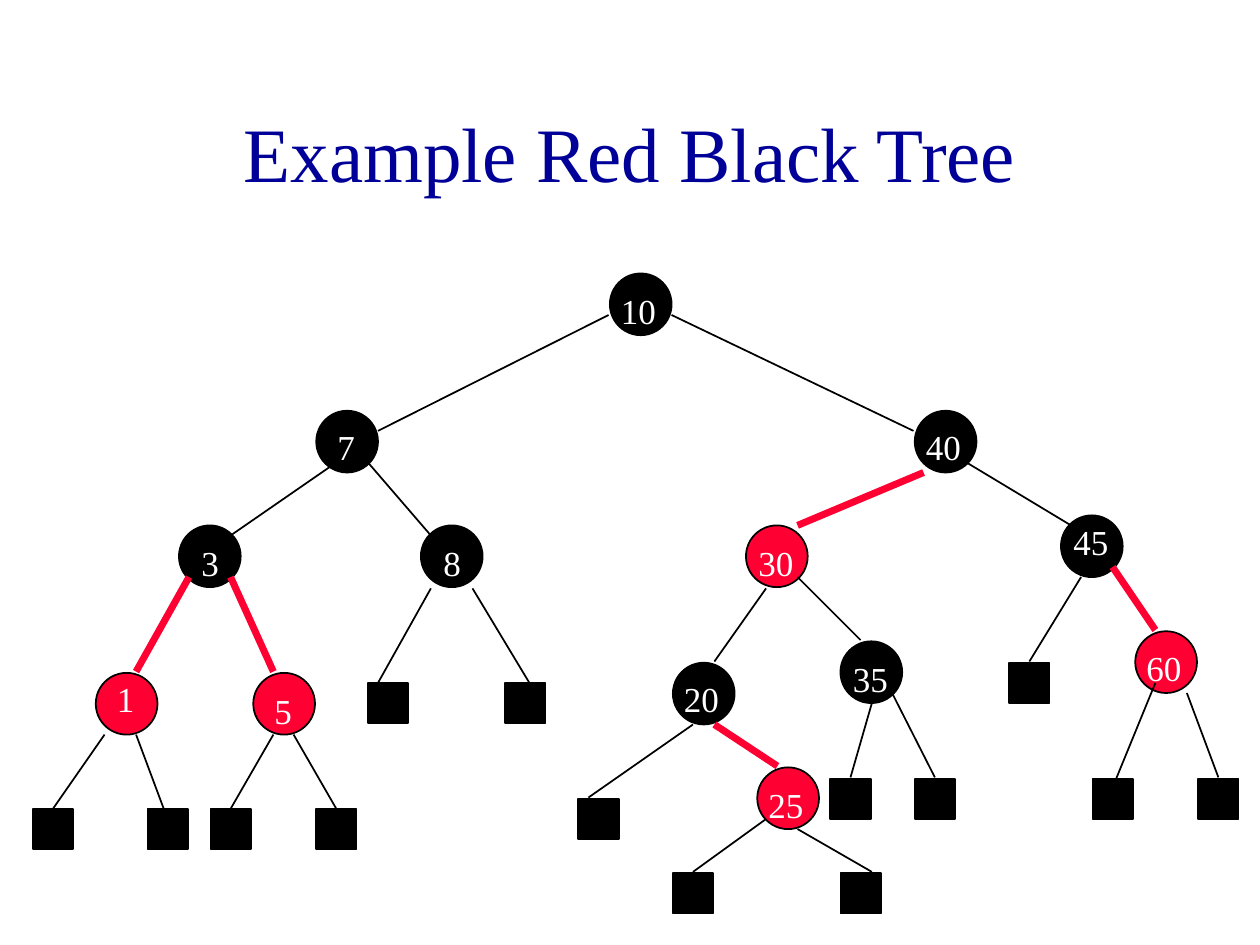
from pptx import Presentation
from pptx.dml.color import RGBColor
from pptx.enum.shapes import MSO_CONNECTOR, MSO_SHAPE
from pptx.enum.text import MSO_ANCHOR, PP_ALIGN
from pptx.oxml.ns import qn
from pptx.util import Inches, Pt
from lxml import etree

BLACK = RGBColor(0x00, 0x00, 0x00)
RED = RGBColor(0xFF, 0x00, 0x33)
WHITE = RGBColor(0xFF, 0xFF, 0xFF)
NAVY = RGBColor(0x00, 0x00, 0x99)

NODES = [
    ("10", BLACK, (4.84, 2.17), (4.83, 2.25)),
    ("7", BLACK, (2.51, 3.26), (2.58, 3.33)),
    ("40", BLACK, (7.26, 3.26), (7.25, 3.33)),
    ("3", BLACK, (1.42, 4.17), (1.5, 4.25)),
    ("8", BLACK, (3.34, 4.17), (3.42, 4.25)),
    ("30", RED, (5.92, 4.17), (5.92, 4.25)),
    ("1", RED, (0.76, 5.34), (0.83, 5.33)),
    ("5", RED, (2.01, 5.34), (2.08, 5.42)),
    ("20", BLACK, (5.34, 5.26), (5.33, 5.33)),
    ("25", RED, (6.01, 6.09), (6, 6.17)),
    ("35", BLACK, (6.67, 5.09), (6.67, 5.17)),
    ("45", BLACK, (8.42, 4.09), (8.42, 4.08)),
    ("60", RED, (9.01, 5.01), (9, 5.08)),
]

BLACK_EDGES = [
    (4.83, 2.5, 3, 3.42), (5.33, 2.5, 7.25, 3.42),
    (2.67, 3.67, 1.83, 4.25), (2.92, 3.67, 3.42, 4.25),
    (6.08, 4.67, 5.67, 5.25), (6.33, 4.58, 6.83, 5.08),
    (7.67, 3.67, 8.5, 4.17),
]

RED_EDGES = [
    (7.33, 3.75, 6.33, 4.17), (1.5, 4.58, 1.08, 5.33),
    (1.83, 4.58, 2.17, 5.33), (5.67, 5.75, 6.17, 6.08),
    (8.83, 4.5, 9.17, 5),
]

LEAF_ROWS = {
    6.42: (0.26, 1.17, 1.67, 2.51),
    5.42: (2.92, 4.01),
    6.34: (4.59,),
    6.93: (5.34, 6.67),
    6.18: (6.59, 7.26, 8.67, 9.51),
    5.26: (8.01,),
}

LEAF_EDGES = [
    (3.75, 4.67, 4.25, 5.5), (3.42, 4.67, 3, 5.42),
    (0.83, 5.83, 0.42, 6.42), (1.08, 5.83, 1.33, 6.5),
    (2.17, 5.83, 1.83, 6.42), (2.33, 5.83, 2.67, 6.42),
    (5.5, 5.75, 4.67, 6.33), (6.08, 6.5, 5.5, 6.92),
    (6.33, 6.58, 6.92, 6.92), (6.92, 5.58, 6.75, 6.17),
    (7.08, 5.5, 7.42, 6.17), (8.58, 4.58, 8.17, 5.25),
    (9.17, 5.42, 8.83, 6.25), (9.42, 5.5, 9.67, 6.17),
]


class TreeSlide:
    font = "Times New Roman"
    node_size = 0.49
    leaf_size = 0.32

    def __init__(self, slide):
        self.shapes = slide.shapes

    def text(self, words, x, y, w, h, size, color,
             align=PP_ALIGN.LEFT, anchor=MSO_ANCHOR.TOP):
        tf = self.shapes.add_textbox(
            Inches(x), Inches(y), Inches(w), Inches(h)).text_frame
        tf.word_wrap = True
        tf.vertical_anchor = anchor
        p = tf.paragraphs[0]
        p.text = words
        p.alignment = align
        p.font.name = self.font
        p.font.size = Pt(size)
        p.font.color.rgb = color

    def title(self, words):
        self.text(words, 0.75, 0.58, 8.5, 1.25, 44, NAVY,
                  PP_ALIGN.CENTER, MSO_ANCHOR.MIDDLE)

    def label(self, words, x, y):
        self.text(words, x, y, 0.5, 0.43, 20, WHITE)

    def block(self, kind, x, y, size, fill):
        sp = self.shapes.add_shape(
            kind, Inches(x), Inches(y), Inches(size), Inches(size))
        sp.shadow.inherit = False
        sp.fill.solid()
        sp.fill.fore_color.rgb = fill
        sp.line.color.rgb = BLACK
        sp.line.width = Pt(1)

    def node(self, x, y, fill):
        self.block(MSO_SHAPE.OVAL, x, y, self.node_size, fill)

    def leaf(self, x, y):
        self.block(MSO_SHAPE.RECTANGLE, x, y, self.leaf_size, BLACK)

    def edge(self, ends, color=BLACK, width=1):
        line = self.shapes.add_connector(
            MSO_CONNECTOR.STRAIGHT, *(Inches(v) for v in ends))
        line.line.color.rgb = color
        line.line.width = Pt(width)
        etree.SubElement(line._element.spPr, qn("a:effectLst"))


def main():
    prs = Presentation()
    prs.slide_width, prs.slide_height = Inches(10), Inches(7.5)
    s = TreeSlide(prs.slides.add_slide(prs.slide_layouts[6]))

    s.title("Example Red Black Tree")
    for _, color, spot, _ in NODES:
        s.node(*spot, color)
    for ends in BLACK_EDGES:
        s.edge(ends)
    for ends in RED_EDGES:
        s.edge(ends, RED, 4)
    for key, _, _, spot in NODES:
        s.label(key, *spot)
    for y, columns in LEAF_ROWS.items():
        for x in columns:
            s.leaf(x, y)
    for ends in LEAF_EDGES:
        s.edge(ends)

    prs.save("out.pptx")


if __name__ == "__main__":
    main()
